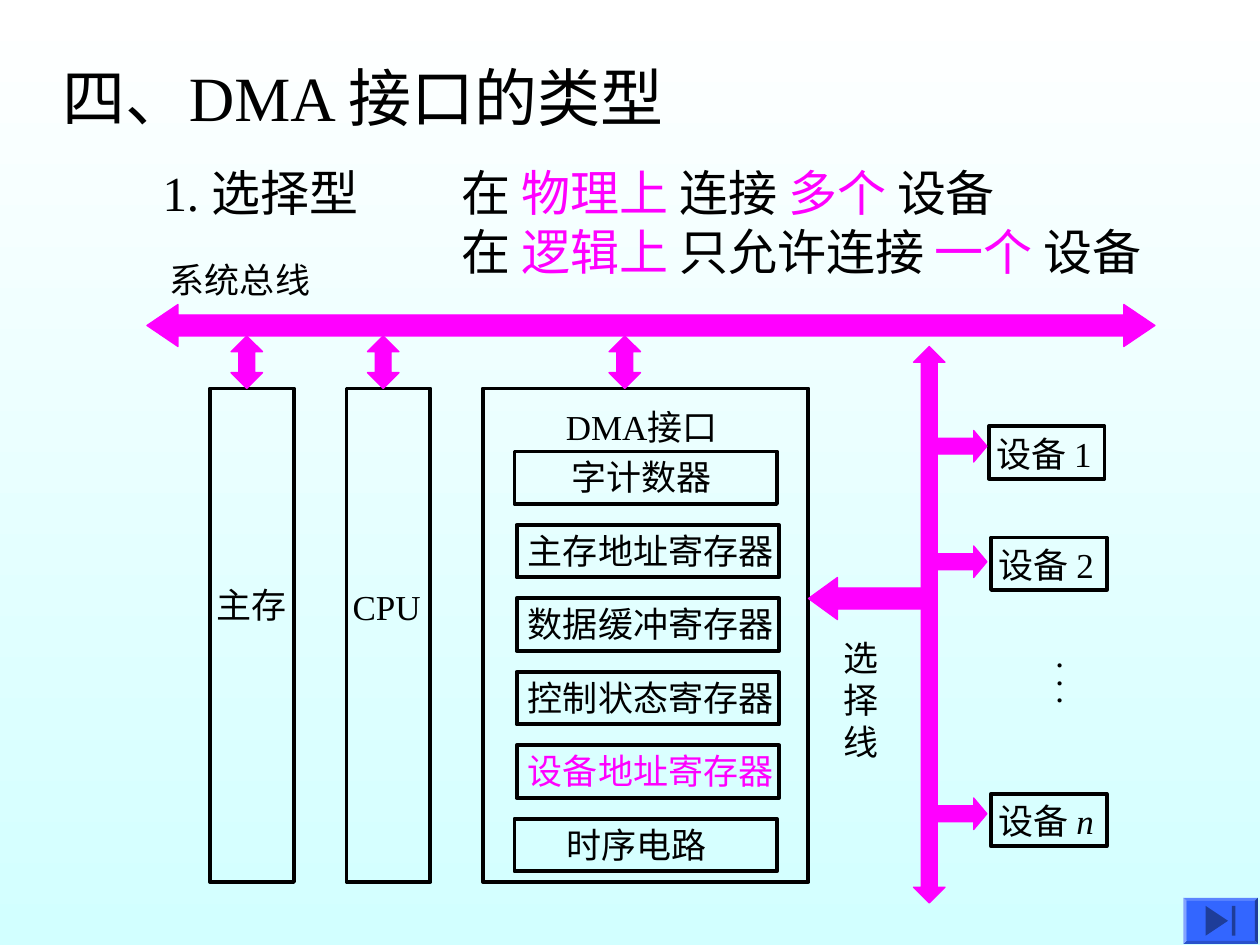
"""Draw the slide on selection-type DMA interfaces."""
from typing import NamedTuple

from pptx import Presentation
from pptx.dml.color import RGBColor
from pptx.enum.shapes import MSO_SHAPE as Kind
from pptx.enum.text import MSO_AUTO_SIZE as Fit
from pptx.util import Inches, Pt

BLACK = RGBColor(0x00, 0x00, 0x00)
PINK = RGBColor(0xFF, 0x00, 0xFF)
BLUE = RGBColor(0x33, 0x66, 0xFF)
WHITE = RGBColor(0xFF, 0xFF, 0xFF)
PALE = RGBColor(0xD2, 0xFF, 0xFF)
FONT = "Times New Roman"
UNIT = Inches(1) / 12
SLACK = 0.5


class Area(NamedTuple):
    """Place and size in columns and rows of the 120 by 90 grid."""
    col: float
    row: float
    wide: float
    high: float

    def emu(self) -> list[int]:
        """Give the lengths as slide units."""
        return [round(part * UNIT) for part in self]


class Part(NamedTuple):
    """A stretch of text in one style."""
    text: str
    color: RGBColor = BLACK
    slant: bool = False


class Label(NamedTuple):
    """A text box of one or more lines."""
    area: Area
    lines: list[list[Part]]
    size: int = 20
    wrap: bool = False
    vert: bool = False


class Arrow(NamedTuple):
    """A block arrow with its two adjustments."""
    kind: Kind
    area: Area
    adjust: tuple[float, float]


def line(text: str, color: RGBColor = BLACK) -> list[list[Part]]:
    """Make a single line in one style."""
    return [[Part(text, color)]]


def pair(head: str, verb: str, count: str) -> list[Part]:
    """Make a line with two stressed terms."""
    return [Part("在 "), Part(head, PINK), Part(verb), Part(count, PINK), Part("设备")]


REGS = [
    ("字计数器", 53.2, 15.7, BLACK),
    ("主存地址寄存器", 49.1, 25.8, BLACK),
    ("数据缓冲寄存器", 49.1, 25.8, BLACK),
    ("控制状态寄存器", 49.1, 25.8, BLACK),
    ("设备地址寄存器", 49.1, 25.8, PINK),
    ("时序电路", 52.8, 15.7, BLACK),
]
UNITS = [
    (Part("1"), 94.2, 40.6, 41),
    (Part("2"), 94.4, 51.2, 52),
    (Part("n", slant=True), 94.4, 75.6, 76),
]
FRAMES = [Area(col, 37, wide, 47) for col, wide in ((20, 8), (33, 8), (46, 31))]
ARROWS = [
    Arrow(Kind.LEFT_RIGHT_ARROW, Area(14, 29, 96, 4), (0.5, 0.74)),
    *[Arrow(Kind.UP_DOWN_ARROW, Area(col, 32, 3, 5), (0.33, 0.5))
      for col in (22, 35, 58)],
    Arrow(Kind.UP_DOWN_ARROW, Area(87, 33, 3, 53), (1.42, 0.5)),
    *[Arrow(Kind.RIGHT_ARROW, Area(89, unit[3], 5, 3), (0.5, 0.42))
      for unit in UNITS],
    Arrow(Kind.LEFT_ARROW, Area(77, 55, 11, 4), (0.5, 0.69)),
]
LABELS = [
    Label(Area(4.8, 5, 62.8, 8.4), line("四、DMA 接口的类型"), 36),
    Label(Area(14.3, 14.9, 22.1, 6.8), line("1. 选择型"), 28),
    Label(Area(42.8, 14.9, 73.2, 12.5), [
        pair("物理上 ", "连接 ", "多个 "),
        pair("逻辑上 ", "只允许连接 ", "一个 "),
    ], 28, wrap=True),
    Label(Area(15, 24, 15.7, 5.3), line("系统总线")),
    Label(Area(52.7, 38, 17.6, 5.3), line("DMA接口")),
    Label(Area(32.4, 55.2, 8.9, 5.3), line("CPU")),
    Label(Area(19.4, 55, 9, 5.3), line("主存")),
    Label(Area(79.2, 60, 5.8, 13.2), [[Part(sign)] for sign in "选择线"]),
    Label(Area(97.8, 61.8, 6.4, 5.4), line(". . ."), vert=True),
]


def write(shapes, label: Label) -> None:
    """Add a text box with a little room to spare."""
    area = label.area
    box = shapes.add_textbox(*area._replace(wide=area.wide + SLACK).emu())
    frame = box.text_frame
    frame.word_wrap = label.wrap
    frame.auto_size = Fit.SHAPE_TO_FIT_TEXT
    if label.vert:
        box.element.txBody.bodyPr.set("vert", "eaVert")
        frame.margin_left = frame.margin_right = Inches(0.05)
        frame.margin_top = frame.margin_bottom = Inches(0.1)
    frame.text = "\n" * (len(label.lines) - 1)
    for para, parts in zip(frame.paragraphs, label.lines):
        for part in parts:
            run = para.add_run()
            run.text = part.text
            font = run.font
            font.name, font.size = FONT, Pt(label.size)
            font.color.rgb = part.color
            if part.slant:
                font.italic = True


def frame(shapes, area: Area) -> None:
    """Add an unfilled box."""
    box = shapes.add_shape(Kind.RECTANGLE, *area.emu())
    box.shadow.inherit = False
    box.fill.background()
    box.line.color.rgb = BLACK
    box.line.width = Pt(2.25)


def solid(shapes, kind: Kind, area: Area, color: RGBColor):
    """Add a filled shape without an outline."""
    shape = shapes.add_shape(kind, *area.emu())
    shape.shadow.inherit = False
    shape.fill.solid()
    shape.fill.fore_color.rgb = color
    shape.line.fill.background()
    return shape


def point(shapes, arrow: Arrow) -> None:
    """Add a block arrow."""
    shape = solid(shapes, arrow.kind, arrow.area, PINK)
    for i, value in enumerate(arrow.adjust):
        shape.adjustments[i] = value
    shape.line.color.rgb = PINK
    shape.line.width = Pt(0.75)


def button(shapes) -> None:
    """Add the raised button that leads to the end."""
    rim = solid(shapes, Kind.BEVEL, Area(112.7, 85.5, 7.1, 4.4), BLUE)
    rim.adjustments[0] = 0.07
    solid(shapes, Kind.ACTION_BUTTON_END, Area(113, 85.8, 6.5, 3.8), BLUE)


def shade(slide) -> None:
    """Blend the background from top to bottom."""
    fill = slide.background.fill
    fill.gradient()
    fill.gradient_angle = 270
    for stop, color in zip(fill.gradient_stops, (WHITE, PALE)):
        stop.color.rgb = color


def main() -> None:
    """Build and save the slide."""
    deck = Presentation()
    deck.slide_width, deck.slide_height = Inches(10), Inches(7.5)
    slide = deck.slides.add_slide(deck.slide_layouts[6])
    shapes = slide.shapes
    shade(slide)
    for area in FRAMES:
        frame(shapes, area)
    for i, (text, col, wide, color) in enumerate(REGS):
        row = 43 + 7 * i
        left = 49 if i in (0, len(REGS) - 1) else 49.2
        frame(shapes, Area(left, row, 25, 5))
        write(shapes, Label(Area(col, row - 0.2, wide, 5.3), line(text, color)))
    for part, col, row, _ in UNITS:
        frame(shapes, Area(col, row, 11, 5))
        write(shapes, Label(Area(col - 0.5, row, 12.2, 5.3), [[Part("设备 "), part]]))
    for arrow in ARROWS:
        point(shapes, arrow)
    for label in LABELS:
        write(shapes, label)
    button(shapes)
    deck.save("out.pptx")


if __name__ == "__main__":
    main()
